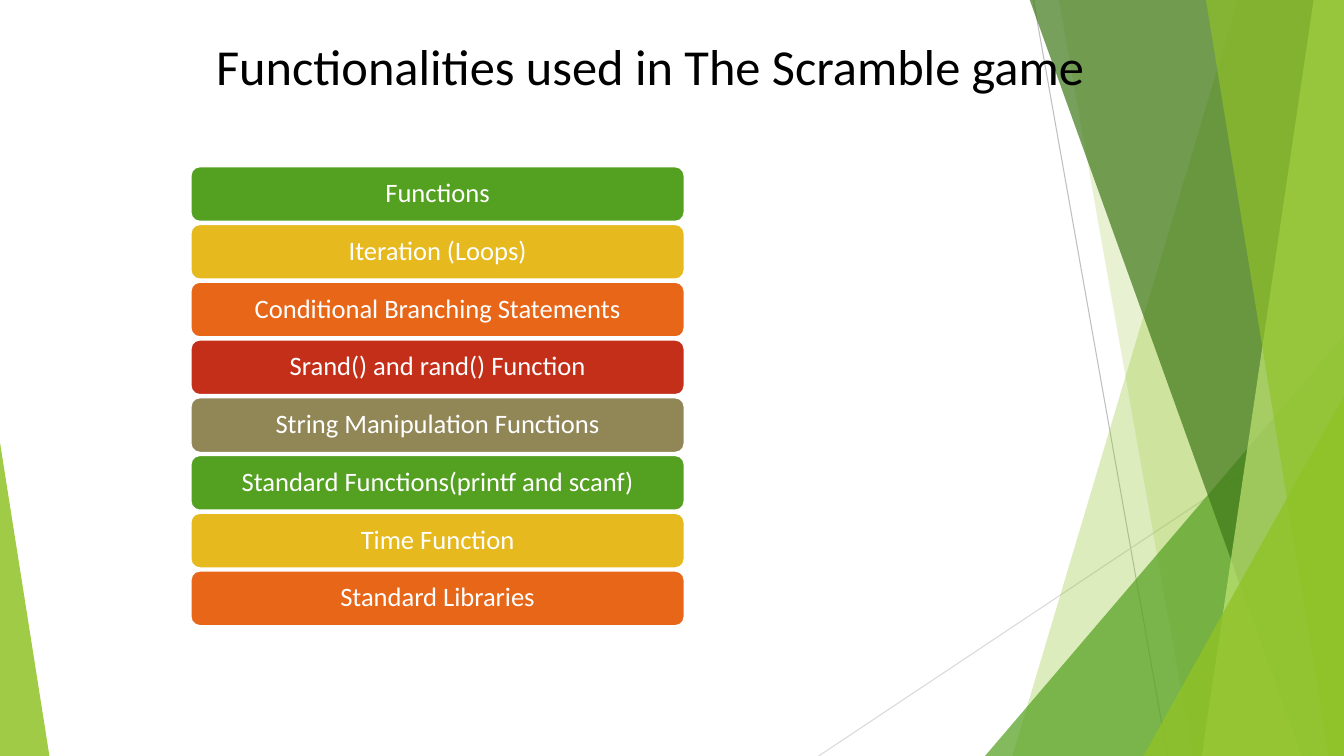
"""Build the slide listing the functionalities used in the Scramble game."""
import dataclasses

import lxml.etree
import pptx
import pptx.dml.color
import pptx.enum.shapes
import pptx.enum.text
import pptx.oxml.ns
import pptx.util

Inches = pptx.util.Inches
Pt = pptx.util.Pt
qn = pptx.oxml.ns.qn

COLOURS = {
    "lime": "90C226", "green": "54A021", "forest": "3F7819", "pale": "C0E474",
    "gold": "E6B91E", "orange": "E76618", "red": "C42F1A", "olive": "918655",
    "white": "FFFFFF", "black": "000000", "grey": "BFBFBF", "silver": "D9D9D9",
}
FONT = "Calibri"
SLIDE_WIDTH, SLIDE_HEIGHT = 13.33, 7.5
BAR_LEFT, BAR_TOP, BAR_WIDTH, BAR_HEIGHT, BAR_PITCH = 1.89, 1.65, 4.9, 0.55, 0.573


@dataclasses.dataclass(frozen=True)
class Ray:
    start: tuple[float, float]
    end: tuple[float, float]
    colour: str


@dataclasses.dataclass(frozen=True)
class Facet:
    top_left: float
    bottom_left: float
    colour: str
    opacity: int


@dataclasses.dataclass(frozen=True)
class Corner:
    left: float
    top: float
    width: float
    apex: float
    colour: str
    opacity: int


@dataclasses.dataclass(frozen=True)
class Bar:
    text: str
    colour: str


DECORATION = [
    Ray((10.25, 0), (11.58, SLIDE_HEIGHT), "grey"),
    Ray((SLIDE_WIDTH, 4.03), (8.12, SLIDE_HEIGHT), "silver"),
    Facet(12.28, 10.04, "lime", 30),
    Facet(10.5, 11.83, "lime", 20),
    Corner(9.77, 3.33, 3.56, 1, "green", 72),
    Facet(10.21, 12.91, "forest", 70),
    Facet(13.03, 11.92, "pale", 70),
    Facet(11.96, 13.18, "lime", 65),
    Corner(11.34, 3.93, 1.99, 1, "lime", 80),
    Corner(0, 4.39, 0.49, 0, "lime", 85),
]
BARS = [
    Bar("Functions", "green"),
    Bar("Iteration (Loops)", "gold"),
    Bar("Conditional Branching Statements", "orange"),
    Bar("Srand() and rand() Function", "red"),
    Bar("String Manipulation Functions", "olive"),
    Bar("Standard Functions(printf and scanf)", "green"),
    Bar("Time Function", "gold"),
    Bar("Standard Libraries", "orange"),
]


def rgb(name: str) -> pptx.dml.color.RGBColor:
    """Return the named colour."""
    return pptx.dml.color.RGBColor.from_string(COLOURS[name])


def fill_shape(shape, colour: str, opacity: int = 100) -> None:
    """Give a shape a flat fill without shadow."""
    shape.shadow.inherit = False
    shape.fill.solid()
    shape.fill.fore_color.rgb = rgb(colour)
    if opacity < 100:
        colour_element = shape._element.spPr.find(qn("a:solidFill"))[0]
        alpha = lxml.etree.SubElement(colour_element, qn("a:alpha"))
        alpha.set("val", str(opacity * 1000))


def draw_ray(shapes, ray: Ray) -> None:
    """Draw a thin background line."""
    connector = shapes.add_connector(
        pptx.enum.shapes.MSO_CONNECTOR.STRAIGHT,
        *(Inches(value) for value in ray.start + ray.end))
    connector.line.color.rgb = rgb(ray.colour)
    connector.line.width = Pt(0.75)
    lxml.etree.SubElement(connector._element.spPr, qn("a:effectLst"))


def draw_facet(shapes, facet: Facet) -> None:
    """Draw a full-height facet reaching the right edge."""
    builder = shapes.build_freeform(
        Inches(facet.top_left), Inches(-0.01))
    builder.add_line_segments([
        (Inches(SLIDE_WIDTH), Inches(-0.01)),
        (Inches(SLIDE_WIDTH), Inches(SLIDE_HEIGHT)),
        (Inches(facet.bottom_left), Inches(SLIDE_HEIGHT))], close=True)
    shape = builder.convert_to_shape()
    fill_shape(shape, facet.colour, facet.opacity)
    shape.line.fill.background()


def draw_corner(shapes, corner: Corner) -> None:
    """Draw a right triangle standing on the bottom edge."""
    shape = shapes.add_shape(
        pptx.enum.shapes.MSO_SHAPE.ISOSCELES_TRIANGLE,
        Inches(corner.left), Inches(corner.top),
        Inches(corner.width), Inches(SLIDE_HEIGHT - corner.top))
    shape.adjustments[0] = corner.apex
    fill_shape(shape, corner.colour, corner.opacity)
    shape.line.fill.background()


def draw_bar(shapes, bar: Bar, index: int) -> None:
    """Draw one labelled bar of the stack."""
    shape = shapes.add_shape(
        pptx.enum.shapes.MSO_SHAPE.ROUNDED_RECTANGLE,
        Inches(BAR_LEFT), Inches(BAR_TOP + index * BAR_PITCH),
        Inches(BAR_WIDTH), Inches(BAR_HEIGHT))
    fill_shape(shape, bar.colour)
    shape.line.color.rgb = rgb("white")
    shape.line.width = Pt(1.5)
    frame = shape.text_frame
    frame.text = bar.text
    frame.word_wrap = True
    frame.vertical_anchor = pptx.enum.text.MSO_ANCHOR.MIDDLE
    frame.margin_top = frame.margin_bottom = Inches(0.04)
    paragraph = frame.paragraphs[0]
    paragraph.line_spacing = 0.9
    format_paragraph(paragraph, 19, "white")


def format_paragraph(paragraph, size: float, colour: str) -> None:
    """Centre a paragraph and set its font."""
    paragraph.alignment = pptx.enum.text.PP_ALIGN.CENTER
    paragraph.font.name = FONT
    paragraph.font.size = Pt(size)
    paragraph.font.color.rgb = rgb(colour)


def add_white_colour(parent) -> None:
    """Append the white colour to an effect or fill."""
    lxml.etree.SubElement(parent, qn("a:srgbClr")).set("val", COLOURS["white"])


def write_title(slide, text: str) -> None:
    """Fill the title placeholder and bring it to the front."""
    title = slide.shapes.title
    title.left, title.top = Inches(0.37), Inches(0.3)
    title.width, title.height = Inches(12.16), Inches(1.35)
    frame = title.text_frame
    frame.text = text
    frame.auto_size = pptx.enum.text.MSO_AUTO_SIZE.NONE
    frame.vertical_anchor = pptx.enum.text.MSO_ANCHOR.TOP
    paragraph = frame.paragraphs[0]
    format_paragraph(paragraph, 36, "black")
    properties = paragraph.runs[0]._r.get_or_add_rPr()
    outline = lxml.etree.SubElement(properties, qn("a:ln"), w=str(Pt(0.75)))
    add_white_colour(lxml.etree.SubElement(outline, qn("a:solidFill")))
    effects = lxml.etree.SubElement(properties, qn("a:effectLst"))
    add_white_colour(lxml.etree.SubElement(
        effects, qn("a:outerShdw"), blurRad=str(Pt(3)), dist=str(Pt(3)), dir="2700000"))
    slide.shapes._spTree.append(title._element)


def main() -> None:
    """Build and save the presentation."""
    presentation = pptx.Presentation()
    presentation.slide_width = Inches(SLIDE_WIDTH)
    presentation.slide_height = Inches(SLIDE_HEIGHT)
    slide = presentation.slides.add_slide(presentation.slide_layouts[5])
    painters = {Ray: draw_ray, Facet: draw_facet, Corner: draw_corner}
    for part in DECORATION:
        painters[type(part)](slide.shapes, part)
    for index, bar in enumerate(BARS):
        draw_bar(slide.shapes, bar, index)
    write_title(slide, "Functionalities used in The Scramble game")
    presentation.save("out.pptx")


if __name__ == "__main__":
    main()
